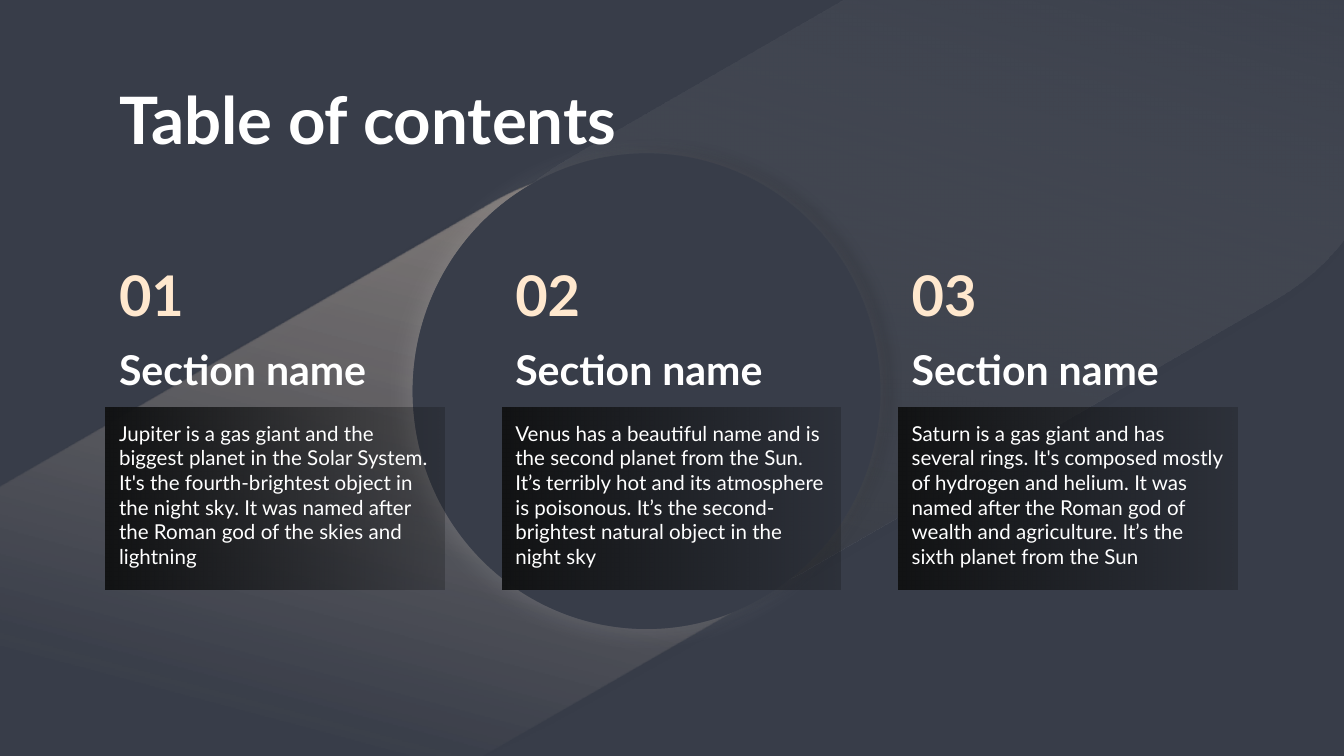
"""Build a table of contents slide with three numbered sections."""
from dataclasses import dataclass
from typing import Optional

import pptx
import pptx.dml.color
import pptx.enum.shapes
import pptx.enum.text
import pptx.oxml
import pptx.oxml.ns
import pptx.util

Cm = pptx.util.Cm
SHAPE = pptx.enum.shapes.MSO_SHAPE
ANCHOR = pptx.enum.text.MSO_ANCHOR
NS = pptx.oxml.ns.nsdecls("a")

BACKGROUND, WHITE, CREAM, DARK = "383D49", "FFFFFF", "FFE8CE", "121314"
LEFT, STEP, COLUMN_WIDTH = 2.0, 7.49, 6.4


@dataclass
class Box:
    left: float
    top: float
    width: float
    height: float


@dataclass
class Stop:
    position: int
    color: str
    alpha: int = 100


@dataclass
class Gradient:
    stops: list[Stop]
    angle: int


@dataclass
class Shadow:
    color: str
    alpha: int
    blur: float
    distance: float
    direction: int


@dataclass
class Backdrop:
    kind: SHAPE
    box: Box
    fill: Optional[Gradient]
    shadow: Shadow
    rotation: int = 0


@dataclass
class Section:
    number: str
    name: str
    body: str


BAND_SHADOW = Shadow(DARK, 10, 5.6, 4.5, 116)
DISC = Box(7.8, 2.9, 8.84, 8.99)
BACKDROPS = [
    Backdrop(SHAPE.ROUNDED_RECTANGLE, Box(-5.36, 6.55, 22.3, 8.97),
             Gradient([Stop(0, CREAM, 0), Stop(39, CREAM, 0), Stop(100, CREAM, 49)], 135),
             BAND_SHADOW, 150),
    Backdrop(SHAPE.ROUNDED_RECTANGLE, Box(7.75, -0.15, 19.3, 8.97),
             Gradient([Stop(0, WHITE, 0), Stop(100, "191919", 25)], 315),
             BAND_SHADOW, 150),
    Backdrop(SHAPE.OVAL, DISC, None, Shadow(DARK, 13, 5.6, 6.8, 333)),
    Backdrop(SHAPE.OVAL, DISC, None, Shadow(WHITE, 10, 12.4, 3.8, 150)),
]
PANEL_FILL = Gradient([Stop(0, DARK), Stop(100, DARK, 27)], 0)
SECTIONS = [
    Section("01", "Section name",
            "Jupiter is a gas giant and the biggest planet in the Solar System. It's the "
            "fourth-brightest object in the night sky. It was named after the Roman god of "
            "the skies and lightning"),
    Section("02", "Section name",
            "Venus has a beautiful name and is the second planet from the Sun. It’s terribly "
            "hot and its atmosphere is poisonous. It’s the second-brightest natural object in "
            "the night sky"),
    Section("03", "Section name",
            "Saturn is a gas giant and has several rings. It's composed mostly of hydrogen and "
            "helium. It was named after the Roman god of wealth and agriculture. It’s the "
            "sixth planet from the Sun"),
]


def rgb(color: str) -> pptx.dml.color.RGBColor:
    return pptx.dml.color.RGBColor.from_string(color)


def color_xml(color: str, alpha: int) -> str:
    return f'<a:srgbClr val="{color}"><a:alpha val="{alpha * 1000}"/></a:srgbClr>'


def set_gradient(s, gradient: Gradient) -> None:
    stops = "".join(f'<a:gs pos="{stop.position * 1000}">{color_xml(stop.color, stop.alpha)}</a:gs>'
                    for stop in gradient.stops)
    s.fill.background()
    no_fill = s.element.spPr.find(pptx.oxml.ns.qn("a:noFill"))
    s.element.spPr.replace(no_fill, pptx.oxml.parse_xml(
        f'<a:gradFill {NS} rotWithShape="1"><a:gsLst>{stops}</a:gsLst>'
        f'<a:lin ang="{gradient.angle * 60000}" scaled="0"/></a:gradFill>'))


def set_shadow(s, shadow: Shadow) -> None:
    effects = s.element.spPr.find(pptx.oxml.ns.qn("a:effectLst"))
    effects.append(pptx.oxml.parse_xml(
        f'<a:outerShdw {NS} blurRad="{pptx.util.Pt(shadow.blur)}" '
        f'dist="{pptx.util.Pt(shadow.distance)}" dir="{shadow.direction * 60000}" '
        f'algn="bl" rotWithShape="0">{color_xml(shadow.color, shadow.alpha)}</a:outerShdw>'))


def add_shape(slide, kind: SHAPE, box: Box, gradient: Optional[Gradient] = None):
    s = slide.shapes.add_shape(kind, Cm(box.left), Cm(box.top), Cm(box.width), Cm(box.height))
    s.line.fill.background()
    s.shadow.inherit = False
    if gradient:
        set_gradient(s, gradient)
    else:
        s.fill.solid()
        s.fill.fore_color.rgb = rgb(BACKGROUND)
    return s


def add_backdrop(slide, backdrop: Backdrop) -> None:
    s = add_shape(slide, backdrop.kind, backdrop.box, backdrop.fill)
    s.rotation = backdrop.rotation
    if backdrop.kind == SHAPE.ROUNDED_RECTANGLE:
        s.adjustments[0] = 0.5
    set_shadow(s, backdrop.shadow)


def write(s, text: str, *, size: float, color: str = WHITE, bold: bool = True,
          anchor: ANCHOR = ANCHOR.TOP) -> None:
    tf = s.text_frame
    tf.word_wrap = True
    tf.vertical_anchor = anchor
    tf.margin_left = tf.margin_right = tf.margin_top = tf.margin_bottom = Cm(0.25)
    p = tf.paragraphs[0]
    p.alignment = pptx.enum.text.PP_ALIGN.LEFT
    r = p.add_run()
    r.text = text
    r.font.name = "Lato"
    r.font.size = pptx.util.Pt(size)
    r.font.bold = bold
    r.font.color.rgb = rgb(color)


def add_text(slide, box: Box, text: str, **style) -> None:
    s = slide.shapes.add_textbox(Cm(box.left), Cm(box.top), Cm(box.width), Cm(box.height))
    write(s, text, **style)


def add_section(slide, left: float, section: Section) -> None:
    add_text(slide, Box(left, 4.98, COLUMN_WIDTH, 1.47), section.number,
             size=30, color=CREAM, anchor=ANCHOR.BOTTOM)
    add_text(slide, Box(left, 6.22, COLUMN_WIDTH, 1.47), section.name,
             size=22, anchor=ANCHOR.BOTTOM)
    panel = add_shape(slide, SHAPE.RECTANGLE, Box(left, 7.7, COLUMN_WIDTH, 3.45), PANEL_FILL)
    write(panel, section.body, size=11, bold=False)


def main() -> None:
    prs = pptx.Presentation()
    prs.slide_width, prs.slide_height = Cm(25.4), Cm(14.29)
    slide = prs.slides.add_slide(prs.slide_layouts[6])
    slide.background.fill.solid()
    slide.background.fill.fore_color.rgb = rgb(BACKGROUND)
    for backdrop in BACKDROPS:
        add_backdrop(slide, backdrop)
    add_text(slide, Box(LEFT, 1.24, 21.4, 1.6), "Table of contents", size=35)
    for i, section in enumerate(SECTIONS):
        add_section(slide, LEFT + i * STEP, section)
    prs.save("out.pptx")


if __name__ == "__main__":
    main()
